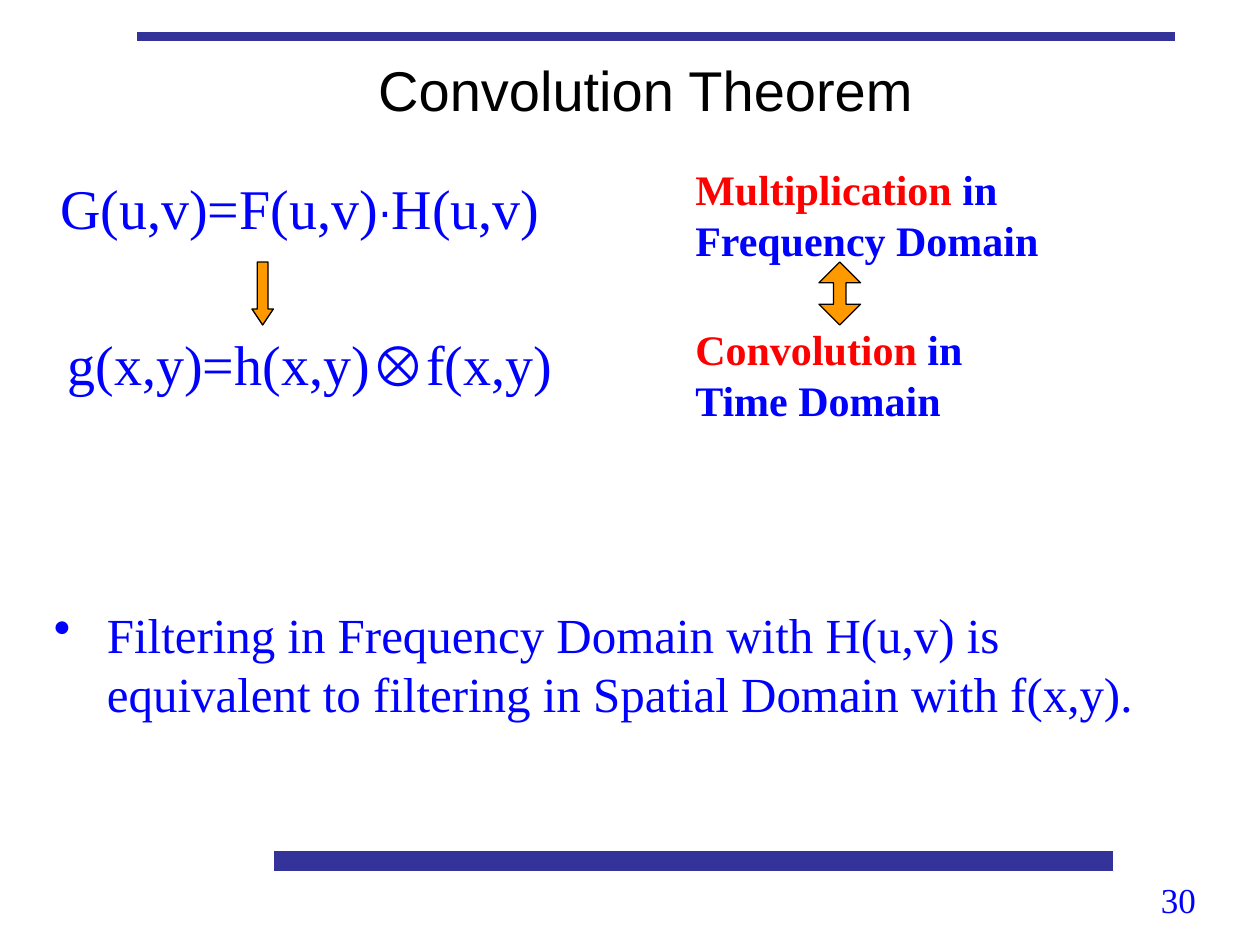
from dataclasses import dataclass

from pptx import Presentation
from pptx.dml.color import RGBColor
from pptx.enum.shapes import MSO_SHAPE
from pptx.enum.text import MSO_ANCHOR, PP_ALIGN
from pptx.oxml import parse_xml
from pptx.oxml.ns import nsdecls
from pptx.util import Inches, Pt

RECTANGLE = MSO_SHAPE.RECTANGLE
DOWN_ARROW = MSO_SHAPE.DOWN_ARROW
UP_DOWN_ARROW = MSO_SHAPE.UP_DOWN_ARROW
LEFT, CENTER, RIGHT = PP_ALIGN.LEFT, PP_ALIGN.CENTER, PP_ALIGN.RIGHT
TOP, MIDDLE = MSO_ANCHOR.TOP, MSO_ANCHOR.MIDDLE
SERIF, SANS = "Times New Roman", "Arial"
COLORS = {
    "bar": "333399",
    "arrow": "FF9900",
    "text": "0000FF",
    "accent": "FF0000",
    "black": "000000",
    "white": "FFFFFF",
}


@dataclass(frozen=True)
class Box:
    left: float
    top: float
    width: float
    height: float

    def lengths(self) -> tuple:
        return tuple(map(Inches, (self.left, self.top, self.width, self.height)))


@dataclass(frozen=True)
class Piece:
    text: str
    size: int
    font: str = SERIF
    color: str = "text"
    bold: bool = False


@dataclass(frozen=True)
class Figure:
    kind: MSO_SHAPE
    box: Box
    fill: str
    line: str
    adjustments: tuple = ()


BARS = [
    Figure(RECTANGLE, Box(1.08, 0.25, 8.25, 0.08), "bar", "white"),
    Figure(RECTANGLE, Box(2.17, 6.75, 6.67, 0.17), "bar", "white"),
]
ARROWS = [
    Figure(DOWN_ARROW, Box(2, 2.08, 0.17, 0.5), "arrow", "black", (0.5, 0.75)),
    Figure(UP_DOWN_ARROW, Box(6.5, 2.08, 0.33, 0.5), "arrow", "black", (0.5, 0.3)),
]
FORMULAS = [
    (Box(0.17, 1.33, 4.42, 0.64), "G(u,v)=F(u,v)", Piece("⋅", 24, SANS), "H(u,v)"),
    (Box(0.17, 2.57, 4.58, 0.64), "g(x,y)=h(x,y)", Piece("⊗", 32, SANS), "f(x,y)"),
]
DOMAINS = [
    (Box(5.42, 1.25, 3.5, 0.9), "Multiplication", " in Frequency Domain"),
    (Box(5.42, 2.52, 3, 0.9), "Convolution", " in Time Domain"),
]
SUMMARY = (
    "Filtering in Frequency Domain with H(u,v) is equivalent to "
    "filtering in Spatial Domain with f(x,y)."
)


def add_figure(slide, figure: Figure) -> None:
    shape = slide.shapes.add_shape(figure.kind, *figure.box.lengths())
    shape.shadow.inherit = False
    for index, value in enumerate(figure.adjustments):
        shape.adjustments[index] = value
    shape.fill.solid()
    shape.fill.fore_color.rgb = RGBColor.from_string(COLORS[figure.fill])
    shape.line.color.rgb = RGBColor.from_string(COLORS[figure.line])
    shape.line.width = Pt(0.75)


def add_bullet(paragraph, indent: float) -> None:
    properties = paragraph._p.get_or_add_pPr()
    properties.set("marL", str(Inches(indent)))
    properties.set("indent", str(-Inches(indent)))
    color = f'<a:srgbClr val="{COLORS["text"]}"/>'
    properties.append(parse_xml(f'<a:buClr {nsdecls("a")}>{color}</a:buClr>'))
    properties.append(parse_xml(f'<a:buChar {nsdecls("a")} char="•"/>'))


def add_text(slide, box: Box, *pieces: Piece, align=LEFT, anchor=TOP, bullet=False) -> None:
    frame = slide.shapes.add_textbox(*box.lengths()).text_frame
    frame.word_wrap = True
    frame.vertical_anchor = anchor
    paragraph = frame.paragraphs[0]
    paragraph.alignment = align
    if bullet:
        add_bullet(paragraph, 0.42)
    for piece in pieces:
        run = paragraph.add_run()
        run.text = piece.text
        run.font.size = Pt(piece.size)
        run.font.name = piece.font
        run.font.bold = piece.bold
        run.font.color.rgb = RGBColor.from_string(COLORS[piece.color])


def main() -> None:
    """Build the convolution theorem slide."""
    presentation = Presentation()
    presentation.slide_width, presentation.slide_height = Inches(10), Inches(7.5)
    slide = presentation.slides.add_slide(presentation.slide_layouts[6])
    for bar in BARS:
        add_figure(slide, bar)
    add_text(slide, Box(8.92, 6.92, 0.67, 0.42), Piece("30", 20), align=RIGHT)
    title = Piece("Convolution Theorem", 32, SANS, "black")
    add_text(slide, Box(1, 0.33, 8.25, 0.75), title, align=CENTER, anchor=MIDDLE)
    for box, start, operator, end in FORMULAS:
        add_text(slide, box, Piece(start, 32), operator, Piece(end, 32), align=CENTER)
    add_text(slide, Box(0.33, 4.75, 9.08, 1.09), Piece(SUMMARY, 28), bullet=True)
    for box, operation, domain in DOMAINS:
        accent = Piece(operation, 24, color="accent", bold=True)
        add_text(slide, box, accent, Piece(domain, 24, bold=True))
    for arrow in ARROWS:
        add_figure(slide, arrow)
    presentation.save("out.pptx")


if __name__ == "__main__":
    main()
